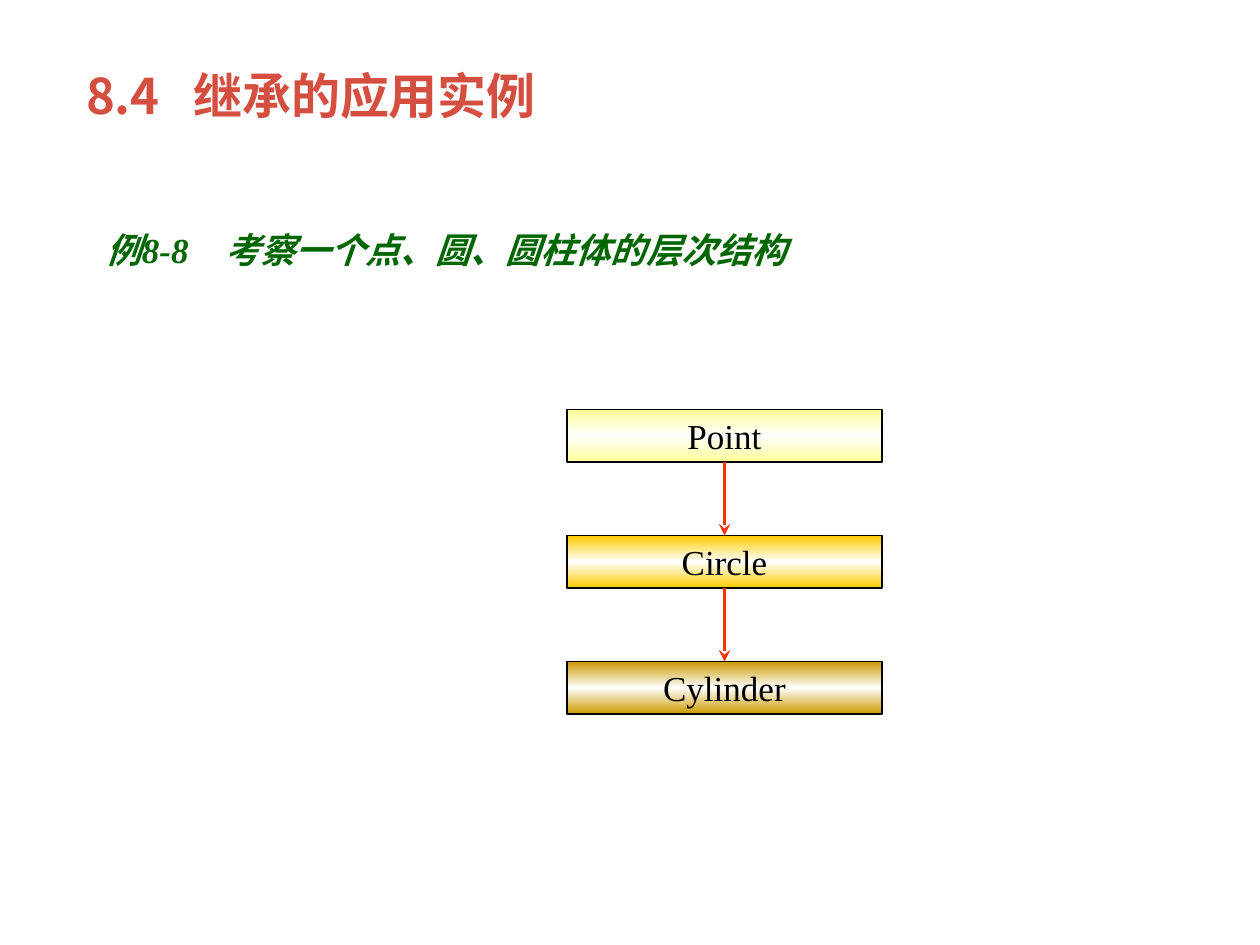
from copy import deepcopy
from dataclasses import dataclass
from itertools import pairwise

from lxml import etree
from pptx import Presentation
from pptx.dml.color import RGBColor
from pptx.enum.shapes import MSO_CONNECTOR, MSO_SHAPE
from pptx.enum.text import MSO_ANCHOR, MSO_AUTO_SIZE, PP_ALIGN
from pptx.oxml.ns import qn
from pptx.util import Inches, Pt

RECTANGLE, STRAIGHT = MSO_SHAPE.RECTANGLE, MSO_CONNECTOR.STRAIGHT
TOP, MIDDLE = MSO_ANCHOR.TOP, MSO_ANCHOR.MIDDLE
LEFT, CENTER = PP_ALIGN.LEFT, PP_ALIGN.CENTER
FIXED = MSO_AUTO_SIZE.NONE
TOP_SITE, BOTTOM_SITE = 0, 2
SLIDE_WIDTH, SLIDE_HEIGHT = Inches(10), Inches(7.5)
COLUMNS, ROWS = 120, 90
SERIF, SANS = "Times New Roman", "Noto Sans CJK SC"
BLACK, WHITE, ARROW_RED = "000000", "FFFFFF", "FF3300"


@dataclass(frozen=True)
class Area:
    """A rectangle in grid columns and rows."""

    column: float
    row: float
    columns: float
    rows: float

    def lengths(self) -> dict:
        """Return the position and size on the slide."""
        return {
            "left": round(SLIDE_WIDTH * self.column / COLUMNS),
            "top": round(SLIDE_HEIGHT * self.row / ROWS),
            "width": round(SLIDE_WIDTH * self.columns / COLUMNS),
            "height": round(SLIDE_HEIGHT * self.rows / ROWS),
        }


@dataclass(frozen=True)
class TextStyle:
    """The look of one line of text."""

    size: int
    name: str
    color: str
    bold: bool = False
    italic: bool = False
    align: int = LEFT
    anchor: int = MIDDLE
    spacing: float = 1.0
    tab: float = 0


@dataclass(frozen=True)
class ClassBox:
    """A class in the hierarchy and its edge colour."""

    name: str
    color: str


TITLE_AREA, EXAMPLE_AREA = Area(7, 5, 73, 8), Area(9, 18, 68, 8.4)
FIRST_BOX, BOX_STEP = Area(54, 39, 30, 5), 12
TITLE_STYLE = TextStyle(28, SANS, "D54F41", bold=True, tab=0.85)
EXAMPLE_STYLE = TextStyle(20, SERIF, "006600", bold=True, italic=True,
                          anchor=TOP, spacing=1.8, tab=0.94)
BOX_STYLE = TextStyle(20, SERIF, BLACK, align=CENTER)
CLASSES = [
    ClassBox("Point", "FFFF99"),
    ClassBox("Circle", "FFCC00"),
    ClassBox("Cylinder", "CC9900"),
]


def paint(color_format, color: str) -> None:
    """Set a colour from a hex string."""
    color_format.rgb = RGBColor.from_string(color)


def set_all(target, values: dict) -> None:
    """Set each attribute named in the dict."""
    for name, value in values.items():
        setattr(target, name, value)


def write(shape, text: str, style: TextStyle, wrap: bool = True) -> None:
    """Put one styled line of text in a shape."""
    frame = shape.text_frame
    set_all(frame, {"word_wrap": wrap, "auto_size": FIXED,
                    "vertical_anchor": style.anchor})
    para = frame.paragraphs[0]
    set_all(para, {"alignment": style.align, "line_spacing": style.spacing})
    if style.tab:
        tabs = etree.SubElement(para._p.get_or_add_pPr(), qn("a:tabLst"))
        etree.SubElement(tabs, qn("a:tab"), pos=str(Inches(style.tab)), algn="l")
    span = para.add_run()
    span.text = text
    set_all(span.font, {"size": Pt(style.size), "name": style.name,
                        "bold": style.bold, "italic": style.italic})
    paint(span.font.color, style.color)
    etree.SubElement(span.font._element, qn("a:ea"), typeface=SANS)


def fill_with_sheen(shape, color: str) -> None:
    """Fill a shape with a vertical gradient that is white in the middle."""
    shape.fill.gradient()
    shape.fill.gradient_angle = 90
    for stop in shape.fill.gradient_stops:
        paint(stop.color, color)
    first = shape._element.spPr.find(f".//{qn('a:gs')}")
    middle = deepcopy(first)
    first.addnext(middle)
    middle.set("pos", "50000")
    paint(shape.fill.gradient_stops[1].color, WHITE)


def draw_class(group, item: ClassBox, area: Area):
    """Draw one class box and return it."""
    box = group.shapes.add_shape(RECTANGLE, **area.lengths())
    box.shadow.inherit = False
    fill_with_sheen(box, item.color)
    paint(box.line.color, BLACK)
    box.line.width = Pt(0.75)
    write(box, item.name, BOX_STYLE, wrap=False)
    return box


def draw_arrow(group, upper, lower) -> None:
    """Draw an arrow from one box down to the next."""
    center = upper.left + upper.width // 2
    arrow = group.shapes.add_connector(
        STRAIGHT, center, upper.top + upper.height, center, lower.top)
    arrow.begin_connect(upper, BOTTOM_SITE)
    arrow.end_connect(lower, TOP_SITE)
    paint(arrow.line.color, ARROW_RED)
    arrow.line.width = Pt(2.25)
    etree.SubElement(arrow.line._get_or_add_ln(), qn("a:tailEnd"), type="stealth")
    etree.SubElement(arrow._element.spPr, qn("a:effectLst"))


def main() -> None:
    """Build the slide and save the deck."""
    deck = Presentation()
    set_all(deck, {"slide_width": SLIDE_WIDTH, "slide_height": SLIDE_HEIGHT})
    page = deck.slides.add_slide(deck.slide_layouts.get_by_name("Title Only"))

    title = page.shapes.title
    set_all(title, TITLE_AREA.lengths())
    write(title, "8.4\t继承的应用实例", TITLE_STYLE)

    example = page.shapes.add_textbox(**EXAMPLE_AREA.lengths())
    write(example, "例8-8\t考察一个点、圆、圆柱体的层次结构", EXAMPLE_STYLE)

    hierarchy = page.shapes.add_group_shape()
    boxes = [
        draw_class(hierarchy, item, Area(
            FIRST_BOX.column, FIRST_BOX.row + index * BOX_STEP,
            FIRST_BOX.columns, FIRST_BOX.rows))
        for index, item in enumerate(CLASSES)
    ]
    for upper, lower in pairwise(boxes):
        draw_arrow(hierarchy, upper, lower)

    deck.save("out.pptx")


if __name__ == "__main__":
    main()
